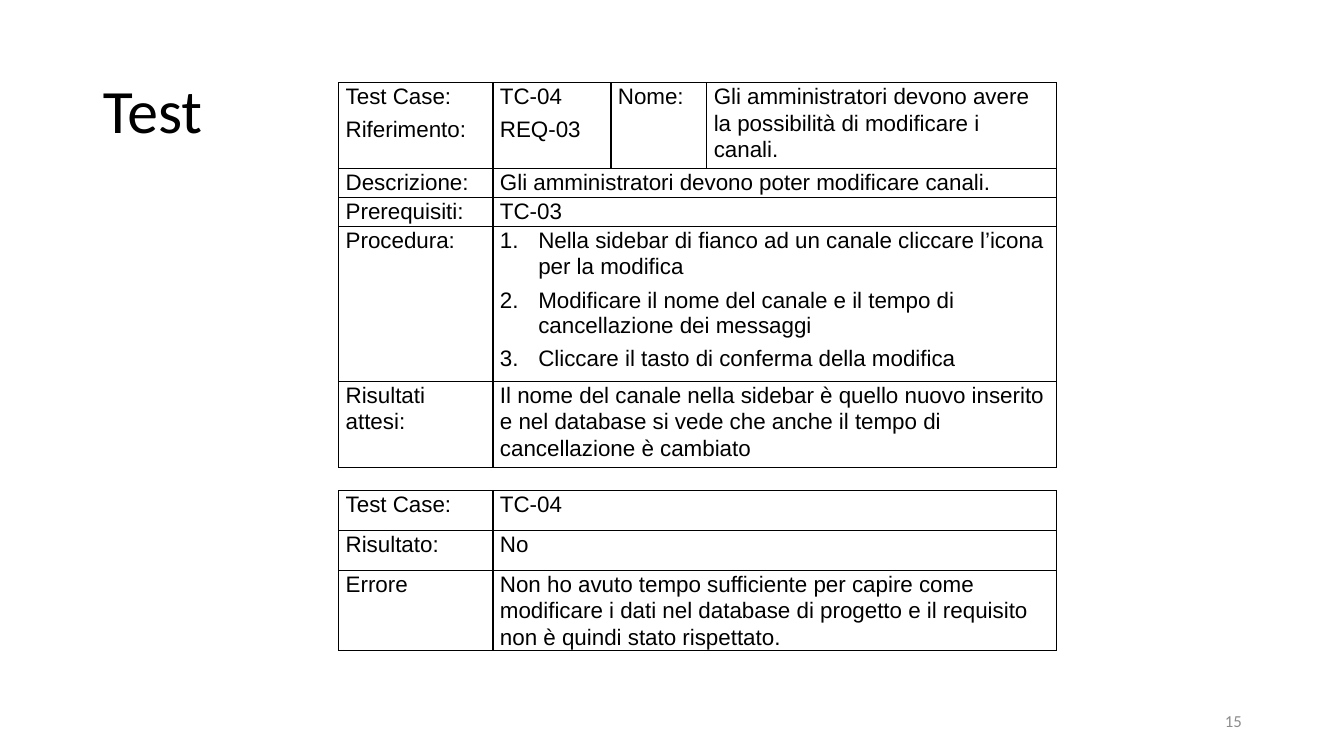
from dataclasses import dataclass

from lxml.etree import SubElement
from pptx import Presentation
from pptx.dml.color import RGBColor
from pptx.enum.text import MSO_ANCHOR as Anchor, PP_ALIGN as Align
from pptx.oxml import parse_xml
from pptx.oxml.ns import nsdecls, qn
from pptx.util import Inches, Pt


@dataclass(frozen=True)
class Theme:
    ink: str = "000000"
    muted: str = "8C8C8C"
    heading_font: str = "Calibri"
    table_font: str = "Arial"
    title_size: int = 44
    table_size: int = 16
    number_size: int = 12
    border: int = 1
    cell_margin: float = 0.07
    list_indent: float = 0.38


THEME = Theme()
WIDTH, HEIGHT = Inches(13.33), Inches(7.5)
TABLE_LEFT = 25.2
LABEL_COLUMN = 11.48
CASE_COLUMNS = [LABEL_COLUMN, 8.78, 7.13, 26.03]
RESULT_COLUMNS = [LABEL_COLUMN, sum(CASE_COLUMNS[1:])]
CASE_HEIGHTS = [10.6, 3.5, 3.5, 19.1, 10.6]
RESULT_HEIGHTS = [5.25, 5.25, 10.6]

STEPS = [
    "Nella sidebar di fianco ad un canale cliccare l’icona per la modifica",
    "Modificare il nome del canale e il tempo di cancellazione dei messaggi",
    "Cliccare il tasto di conferma della modifica",
]
CASE_ROWS = [
    [["Test Case:", "Riferimento:"], ["TC-04", "REQ-03"], ["Nome:"],
     ["Gli amministratori devono avere la possibilità di modificare i canali."]],
    [["Descrizione:"], ["Gli amministratori devono poter modificare canali."]],
    [["Prerequisiti:"], ["TC-03"]],
    [["Procedura:"], STEPS],
    [["Risultati attesi:"],
     ["Il nome del canale nella sidebar è quello nuovo inserito e nel database "
      "si vede che anche il tempo di cancellazione è cambiato"]],
]
RESULT_ROWS = [
    [["Test Case:"], ["TC-04"]],
    [["Risultato:"], ["No"]],
    [["Errore"],
     ["Non ho avuto tempo sufficiente per capire come modificare i dati nel "
      "database di progetto e il requisito non è quindi stato rispettato."]],
]


def across(percent):
    return round(WIDTH * percent / 100)


def down(percent):
    return round(HEIGHT * percent / 100)


def write(para, text, *, size, font, color=THEME.ink, align=Align.LEFT,
          line_spacing=None, space_after=None, numbered=False):
    if numbered:
        props = para._p.get_or_add_pPr()
        indent = Inches(THEME.list_indent)
        props.set("marL", str(indent))
        props.set("indent", str(-indent))
        SubElement(props, qn("a:buFont"), typeface="+mj-lt")
        SubElement(props, qn("a:buAutoNum"), type="arabicPeriod")
    para.alignment = align
    para.line_spacing = line_spacing
    if space_after is not None:
        para.space_after = Pt(space_after)
    span = para.add_run()
    span.text = text
    span.font.size = Pt(size)
    span.font.name = font
    span.font.color.rgb = RGBColor.from_string(color)


def format_cell(cell):
    cell.margin_left = cell.margin_right = Inches(THEME.cell_margin)
    cell.margin_top = cell.margin_bottom = 0
    cell.fill.background()
    props = cell._tc.get_or_add_tcPr()
    for position, side in enumerate(("lnL", "lnR", "lnT", "lnB")):
        props.insert(position, parse_xml(
            f'<a:{side} {nsdecls("a")} w="{Pt(THEME.border)}"><a:solidFill>'
            f'<a:srgbClr val="{THEME.ink}"/></a:solidFill></a:{side}>'))


def fill_cell(cell, lines):
    frame = cell.text_frame
    for index, line in enumerate(lines):
        para = frame.add_paragraph() if index else frame.paragraphs[0]
        write(para, line, size=THEME.table_size, font=THEME.table_font,
              line_spacing=1.0 if index else 1.07, space_after=6,
              numbered=lines is STEPS)


def add_grid(page, top, columns, heights, rows):
    frame = page.shapes.add_table(
        len(rows), len(columns), across(TABLE_LEFT), down(top),
        across(sum(columns)), down(sum(heights)))
    table = frame.table
    table.first_row = table.horz_banding = False
    for column, width in zip(table.columns, columns):
        column.width = across(width)
    for row, height in zip(table.rows, heights):
        row.height = down(height)
    for cell in table.iter_cells():
        format_cell(cell)
    last = len(columns) - 1
    for index, entries in enumerate(rows):
        if len(entries) < len(columns):
            table.cell(index, 1).merge(table.cell(index, last))
        for position, lines in enumerate(entries):
            fill_cell(table.cell(index, position), lines)


def add_title(page, text):
    title = page.shapes.title
    title.left, title.top = across(6.9), down(5.33)
    title.width, title.height = across(86.25), down(19.33)
    title.text_frame.vertical_anchor = Anchor.MIDDLE
    write(title.text_frame.paragraphs[0], text, size=THEME.title_size,
          font=THEME.heading_font, line_spacing=0.9)


def add_page_number(page, text):
    box = page.shapes.add_textbox(
        across(70.65), down(92.67), across(22.5), down(5.33))
    frame = box.text_frame
    frame.word_wrap = True
    frame.vertical_anchor = Anchor.MIDDLE
    write(frame.paragraphs[0], text, size=THEME.number_size,
          font=THEME.heading_font, color=THEME.muted, align=Align.RIGHT)


def main():
    deck = Presentation()
    deck.slide_width, deck.slide_height = WIDTH, HEIGHT
    page = deck.slides.add_slide(deck.slide_layouts.get_by_name("Title Only"))
    add_title(page, "Test")
    add_grid(page, 64.93, RESULT_COLUMNS, RESULT_HEIGHTS, RESULT_ROWS)
    add_page_number(page, "15")
    add_grid(page, 10.93, CASE_COLUMNS, CASE_HEIGHTS, CASE_ROWS)
    deck.save("out.pptx")


if __name__ == "__main__":
    main()
